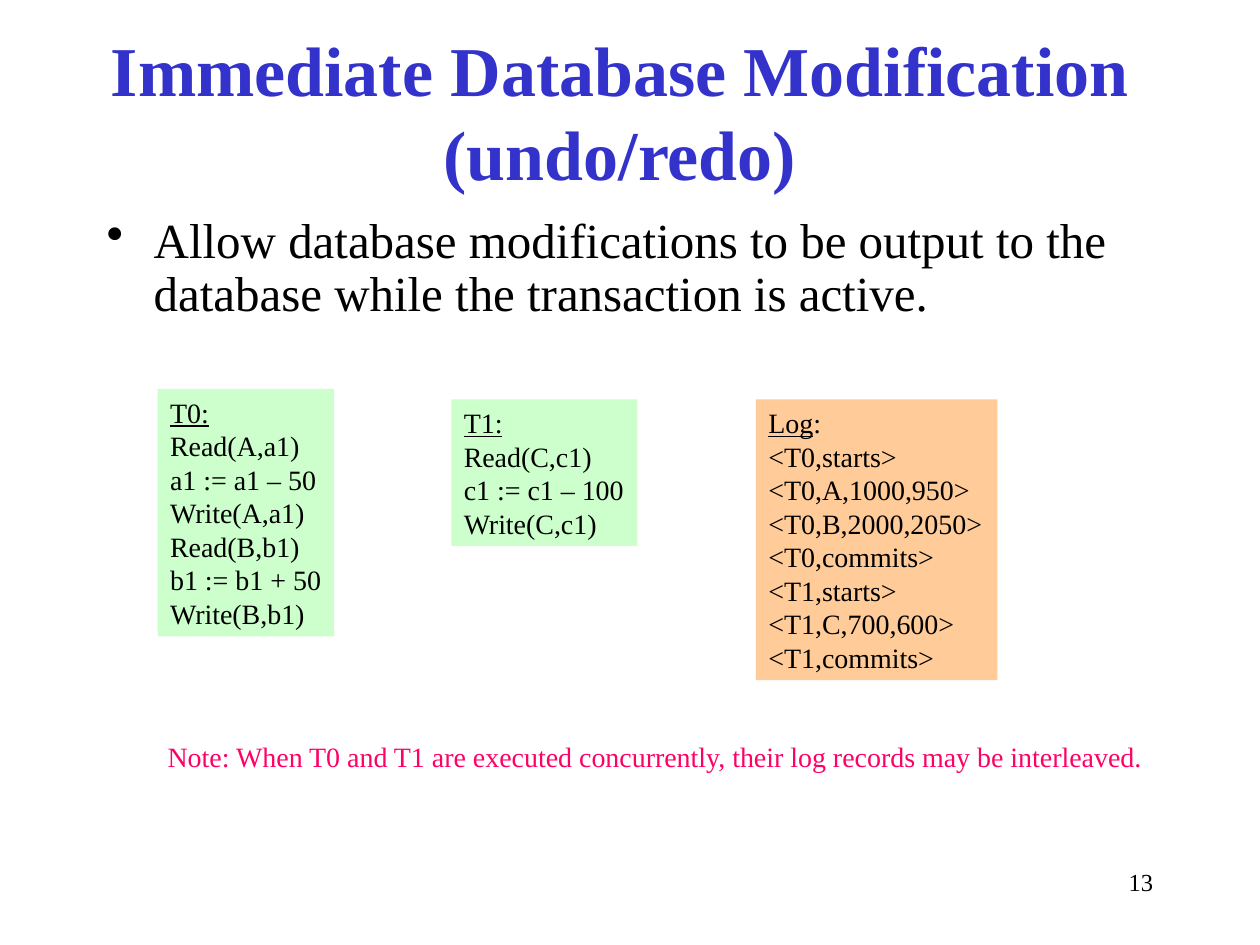
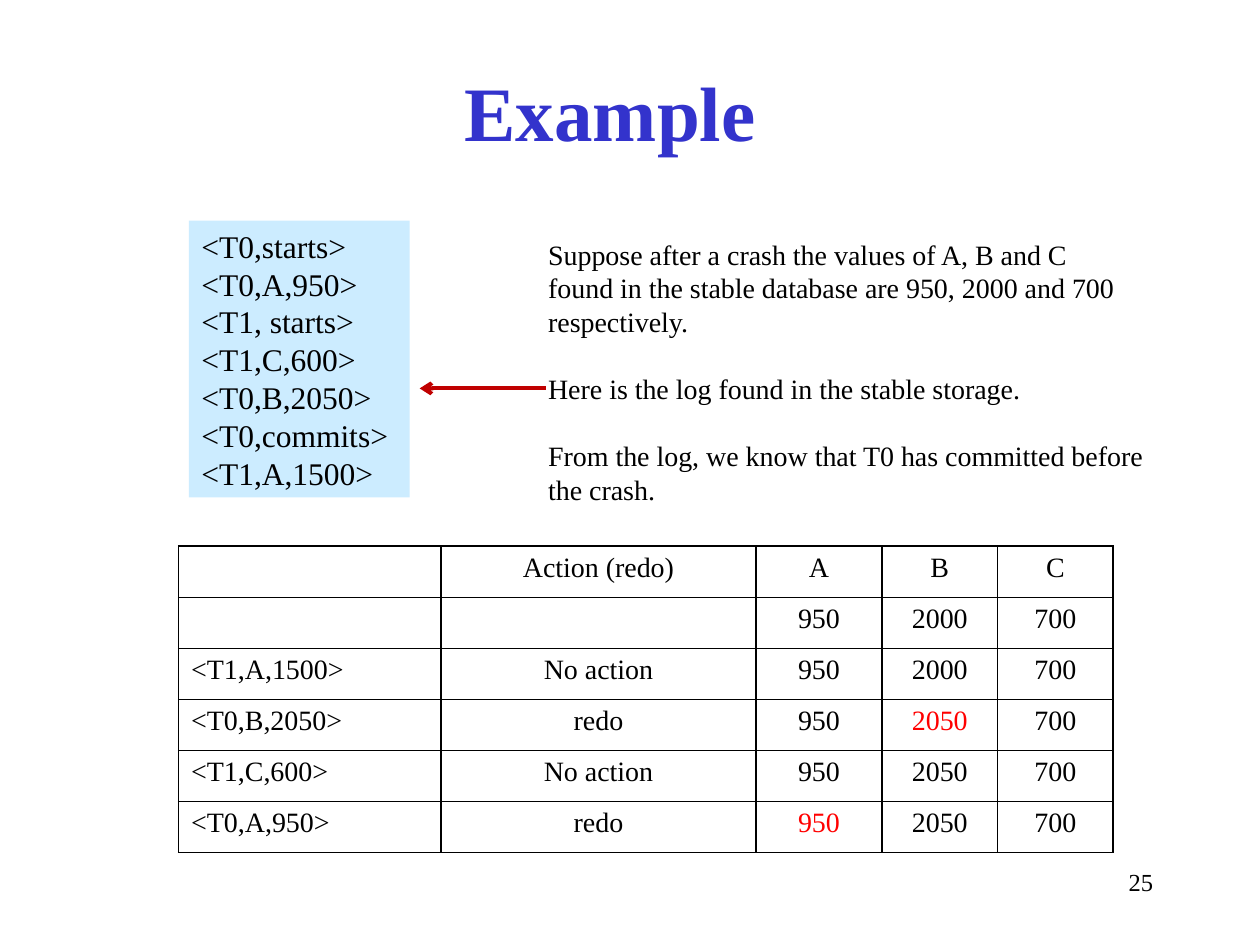
import pptx
import pptx.util
import pptx.dml.color
import pptx.enum.shapes
import pptx.enum.text
import pptx.oxml
import pptx.oxml.ns
from lxml import etree

Cm, Pt = pptx.util.Cm, pptx.util.Pt
ALIGN = pptx.enum.text.PP_ALIGN
FIT = pptx.enum.text.MSO_AUTO_SIZE
FONT = "Times New Roman"
COLORS = {"title": "3333CC", "text": "000000", "green": "CCFFCC",
          "orange": "FFCC99", "blue": "CCECFF", "note": "FF0066",
          "change": "FF0000", "arrow": "C00000"}


def shade(name):
    return pptx.dml.color.RGBColor.from_string(COLORS[name])


def child(parent, tag, **attrs):
    node = etree.SubElement(parent, pptx.oxml.ns.qn(tag))
    for key, value in attrs.items():
        node.set(key, str(value))
    return node


def write(frame, lines, size=16, color="text", bold=False, align=ALIGN.LEFT,
          under="", gaps=(), bullet=False):
    """Fill a frame; the prefix `under` is underlined, `gaps` lists lines set apart."""
    for i, line in enumerate(lines):
        para = frame.paragraphs[0] if i == 0 else frame.add_paragraph()
        if bullet:
            props = para._p.get_or_add_pPr()
            props.set("marL", str(Cm(0.95)))
            props.set("indent", str(-Cm(0.95)))
            child(props, "a:buChar", char="•")
            para.line_spacing = 0.9
        para.alignment = align
        if i in gaps:
            para.space_before = Pt(size * 1.2)
        head = under if i == 0 else ""
        for part, lined in ((head, True), (line[len(head):], False)):
            if part:
                run = para.add_run()
                run.text = part
                font = run.font
                font.name, font.size, font.bold = FONT, Pt(size), bold
                font.underline = lined
                font.color.rgb = shade(color)


def label(slide, box, lines, wrap=False, **style):
    """Plain text box at box = left, top, width, height in cm."""
    frame = slide.shapes.add_textbox(*map(Cm, box)).text_frame
    frame.word_wrap = wrap
    frame.auto_size = FIT.NONE if wrap else FIT.SHAPE_TO_FIT_TEXT
    write(frame, lines, **style)


def panel(slide, left, top, width, fill, lines, size=16, wrap=False, under=""):
    """Filled code box, as tall as its lines."""
    tall = len(lines) * size * 0.0423 + 0.25
    shape = slide.shapes.add_shape(pptx.enum.shapes.MSO_SHAPE.RECTANGLE,
                                   Cm(left), Cm(top), Cm(width), Cm(tall))
    shape.shadow.inherit = False
    shape.fill.solid()
    shape.fill.fore_color.rgb = shade(fill)
    shape.line.fill.background()
    frame = shape.text_frame
    frame.word_wrap = wrap
    frame.auto_size = FIT.SHAPE_TO_FIT_TEXT
    frame.vertical_anchor = pptx.enum.text.MSO_ANCHOR.TOP
    write(frame, lines, size=size, under=under)


def start(deck, title, size, page):
    """New slide with its title and page number."""
    slide = deck.slides.add_slide(deck.slide_layouts[5])
    head = slide.shapes.title
    head.left, head.top, head.width, head.height = map(Cm, (1.7, 0.64, 21.59, 3.18))
    frame = head.text_frame
    frame.auto_size = FIT.NONE
    frame.vertical_anchor = pptx.enum.text.MSO_ANCHOR.MIDDLE
    write(frame, [title], size=size, color="title", bold=True, align=ALIGN.CENTER)
    label(slide, (18.2, 17.35, 5.3, 1.27), [page], wrap=True, size=14,
          align=ALIGN.RIGHT)
    return slide


def arrow(slide, x1, x2, y):
    line = slide.shapes.add_connector(pptx.enum.shapes.MSO_CONNECTOR.STRAIGHT,
                                      Cm(x1), Cm(y), Cm(x2), Cm(y))
    line.line.color.rgb = shade("arrow")
    line.line.width = Pt(2.25)
    child(line.line._get_or_add_ln(), "a:tailEnd", type="arrow")
    child(line._element.spPr, "a:effectLst")


def edge(cell):
    """Thin border on all four sides; goes before the cell's fill."""
    props = cell._tc.get_or_add_tcPr()
    for side in ("a:lnL", "a:lnR", "a:lnT", "a:lnB"):
        line = child(props, side, w=Pt(1))
        child(child(line, "a:solidFill"), "a:srgbClr", val=COLORS["text"])


def grid(slide, left, top, widths, tall, rows, marks):
    """Table whose first column is left aligned; `marks` lists changed cells."""
    shape = slide.shapes.add_table(len(rows), len(widths), Cm(left), Cm(top),
                                   Cm(sum(widths)), Cm(tall * len(rows)))
    table = shape.table
    table.first_row = table.horz_banding = False
    for col, width in zip(table.columns, widths):
        col.width = Cm(width)
    for r, row in enumerate(rows):
        table.rows[r].height = Cm(tall)
        for c, text in enumerate(row):
            cell = table.cell(r, c)
            edge(cell)
            cell.fill.background()
            write(cell.text_frame, [text],
                  color="change" if (r, c) in marks else "text",
                  align=ALIGN.CENTER if c else ALIGN.LEFT)


def modify(deck):
    slide = start(deck, "Immediate Database Modification (undo/redo)", 40, "13")
    label(slide, (1.9, 4.23, 21.6, 2.54),
          ["Allow database modifications to be output to the database "
           "while the transaction is active."],
          wrap=True, size=28, bullet=True)
    # Transactions and their log
    panel(slide, 3.18, 7.84, 3.56, "green",
          ["T0:", "Read(A,a1)", "a1 := a1 – 50", "Write(A,a1)",
           "Read(B,b1)", "b1 := b1 + 50", "Write(B,b1)"], under="T0:")
    panel(slide, 9.1, 8.05, 3.75, "green",
          ["T1:", "Read(C,c1)", "c1 := c1 – 100", "Write(C,c1)"], under="T1:")
    panel(slide, 15.24, 8.05, 4.87, "orange",
          ["Log:", "<T0,starts>", "<T0,A,1000,950>", "<T0,B,2000,2050>",
           "<T0,commits>", "<T1,starts>", "<T1,C,700,600>", "<T1,commits>"],
          under="Log")
    label(slide, (3.13, 14.78, 20.3, 0.93),
          ["Note: When T0 and T1 are executed concurrently, "
           "their log records may be interleaved."], color="note")


def example(deck):
    slide = start(deck, "Example ", 44, "25")
    # Log and what it tells
    panel(slide, 3.81, 4.45, 4.45, "blue",
          ["<T0,starts>", "<T0,A,950>", "<T1, starts>", "<T1,C,600>",
           "<T0,B,2050>", "<T0,commits>", "<T1,A,1500>"], size=18, wrap=True)
    label(slide, (10.8, 4.66, 12.67, 5.74),
          ["Suppose after a crash the values of A, B and C",
           "found in the stable database are 950, 2000 and 700",
           "respectively.",
           "Here is the log found in the stable storage.",
           "From the log, we know that T0 has committed before",
           "the crash."], gaps=(3, 4))
    arrow(slide, 11, 8.46, 7.83)
    # Recovery steps
    grid(slide, 3.6, 11.01, (5.29, 6.35, 2.54, 2.33, 2.33), 1.03,
         [("", "Action (redo)", "A", "B", "C"),
          ("", "", "950", "2000", "700"),
          ("<T1,A,1500>", "No action", "950", "2000", "700"),
          ("<T0,B,2050>", "redo", "950", "2050", "700"),
          ("<T1,C,600>", "No action", "950", "2050", "700"),
          ("<T0,A,950>", "redo", "950", "2050", "700")],
         marks={(3, 3), (5, 2)})


def main():
    deck = pptx.Presentation()
    deck.slide_width, deck.slide_height = Cm(25.4), Cm(19.05)
    modify(deck)
    example(deck)
    deck.save("out.pptx")


if __name__ == "__main__":
    main()
